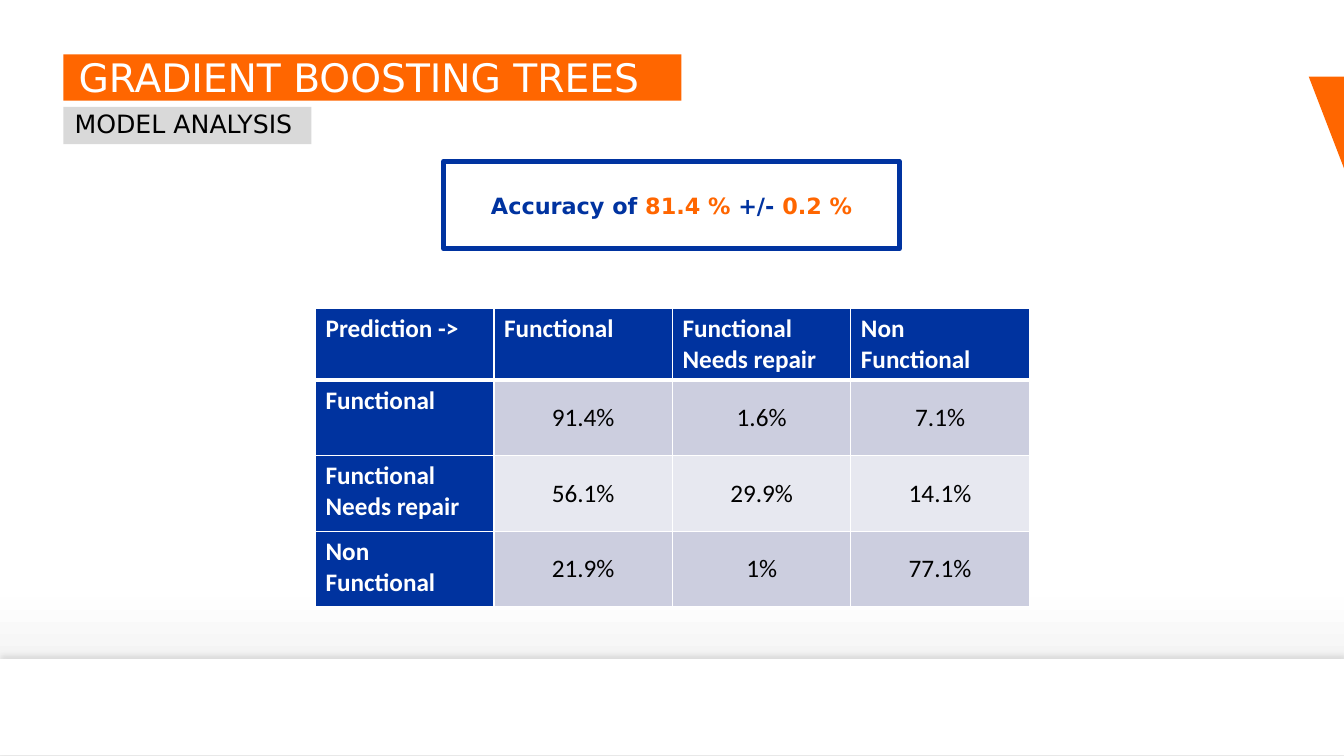
"""Build the gradient boosting trees model analysis slide."""
import copy

import pptx
import pptx.dml.color
import pptx.enum.shapes
import pptx.enum.text
import pptx.oxml
import pptx.oxml.ns
import pptx.util

Inches = pptx.util.Inches
Pt = pptx.util.Pt
ANCHOR = pptx.enum.text.MSO_ANCHOR
ALIGN = pptx.enum.text.PP_ALIGN
NS = pptx.oxml.ns.nsdecls("a")
COLORS = {
    "white": "FFFFFF", "near_white": "FEFEFE", "mist": "EDEDED", "black": "000000",
    "orange": "FF6600", "grey": "D9D9D9", "blue": "0033A0", "header": "00339F",
    "band_dark": "CCCEDF", "band_light": "E7E8F0",
}


def rgb(name):
    return pptx.dml.color.RGBColor.from_string(COLORS[name])


def add_box(left, top, width, height, fill, runs=(), size=16, bold=False):
    sp = slide.shapes.add_shape(
        pptx.enum.shapes.MSO_SHAPE.RECTANGLE,
        Inches(left), Inches(top), Inches(width), Inches(height))
    sp.shadow.inherit = False
    sp.fill.solid()
    sp.fill.fore_color.rgb = rgb(fill)
    sp.line.fill.background()
    sp.text_frame.word_wrap = True
    p = sp.text_frame.paragraphs[0]
    for text, color in runs:
        r = p.add_run()
        r.text = text
        r.font.name = "DejaVu Sans"
        r.font.size = Pt(size)
        r.font.bold = bold
        r.font.color.rgb = rgb(color)
    return sp


prs = pptx.Presentation()
prs.slide_width = Inches(13.33)
prs.slide_height = Inches(7.5)
slide = prs.slides.add_slide(prs.slide_layouts[6])

bg = slide.background.fill
bg.gradient()
bg.gradient_angle = 270
first_stop = slide.background._cSld.find(".//" + pptx.oxml.ns.qn("a:gs"))
first_stop.addnext(copy.deepcopy(first_stop))
stops = [(0, "white"), (0.79, "near_white"), (0.92, "mist")]
for stop, (position, color) in zip(bg.gradient_stops, stops):
    stop.position = position
    stop.color.rgb = rgb(color)

footer = add_box(0, 6.54, 13.33, 0.95, "white")
effects = footer._element.spPr.find(pptx.oxml.ns.qn("a:effectLst"))
effects.append(pptx.oxml.parse_xml(
    f'<a:outerShdw {NS} blurRad="{Pt(4)}" dist="{Pt(3)}" dir="16200000" rotWithShape="0">'
    f'<a:srgbClr val="{COLORS["black"]}"><a:alpha val="10000"/></a:srgbClr></a:outerShdw>'))

builder = slide.shapes.build_freeform(Inches(12.98), Inches(0.76))
builder.add_line_segments(
    [(Inches(13.33), Inches(0.76)), (Inches(13.33), Inches(1.67))], close=True)
corner = builder.convert_to_shape()
corner.shadow.inherit = False
corner.fill.solid()
corner.fill.fore_color.rgb = rgb("orange")
corner.line.fill.background()

title = add_box(0.63, 0.54, 6.13, 0.46, "orange", [("GRADIENT BOOSTING TREES", "white")], 28)
subtitle = add_box(0.63, 1.06, 2.46, 0.37, "grey", [("MODEL ANALYSIS", "black")], 18)
for sp, indent, right, bottom, spacing, anchor in [
        (title, 0.15, 0.16, 0, 0.9, ANCHOR.BOTTOM),
        (subtitle, 0.11, 0.1, 0.04, 0.95, ANCHOR.TOP)]:
    tf = sp.text_frame
    tf.margin_left = Inches(indent)
    tf.margin_right = Inches(right)
    tf.margin_top = Inches(0.04)
    tf.margin_bottom = Inches(bottom)
    tf.vertical_anchor = anchor
    tf.paragraphs[0].alignment = ALIGN.LEFT
    tf.paragraphs[0].line_spacing = spacing

accuracy = add_box(4.4, 1.6, 4.52, 0.87, "white", [
    ("Accuracy of ", "blue"), ("81.4 %", "orange"),
    (" +/- ", "blue"), ("0.2 %", "orange")], bold=True)
accuracy.line.color.rgb = rgb("blue")
accuracy.line.width = Pt(3.5)
accuracy.text_frame.vertical_anchor = ANCHOR.MIDDLE
accuracy.text_frame.paragraphs[0].alignment = ALIGN.CENTER

rows = [
    ["Prediction ->", "Functional", "Functional\nNeeds repair", "Non\nFunctional"],
    ["Functional", "91.4%", "1.6%", "7.1%"],
    ["Functional\nNeeds repair", "56.1%", "29.9%", "14.1%"],
    ["Non\nFunctional", "21.9%", "1%", "77.1%"],
]
table = slide.shapes.add_table(
    4, 4, Inches(3.13), Inches(3.06), Inches(7.08), Inches(2.95)).table
for column in table.columns:
    column.width = Inches(1.77)
for i, values in enumerate(rows):
    table.rows[i].height = Inches(0.75 if i else 0.7)
    for j, value in enumerate(values):
        is_label = i == 0 or j == 0
        cell = table.cell(i, j)
        cell.text_frame.text = value
        cell.vertical_anchor = ANCHOR.TOP if is_label else ANCHOR.MIDDLE
        cell.fill.solid()
        cell.fill.fore_color.rgb = rgb(
            "header" if is_label else "band_dark" if i % 2 else "band_light")
        for p in cell.text_frame.paragraphs:
            p.alignment = ALIGN.LEFT if is_label else ALIGN.CENTER
            for r in p.runs:
                r.font.name = "Calibri"
                r.font.size = Pt(18)
                r.font.bold = is_label
                r.font.color.rgb = rgb("white" if is_label else "black")
        borders = {"lnL": 1, "lnR": 1, "lnT": 3 if i == 1 else 1, "lnB": 1 if i else 3}
        for k, (side, width) in enumerate(borders.items()):
            cell._tc.tcPr.insert(k, pptx.oxml.parse_xml(
                f'<a:{side} {NS} w="{Pt(width)}"><a:solidFill>'
                f'<a:srgbClr val="{COLORS["white"]}"/></a:solidFill></a:{side}>'))

prs.save("out.pptx")
